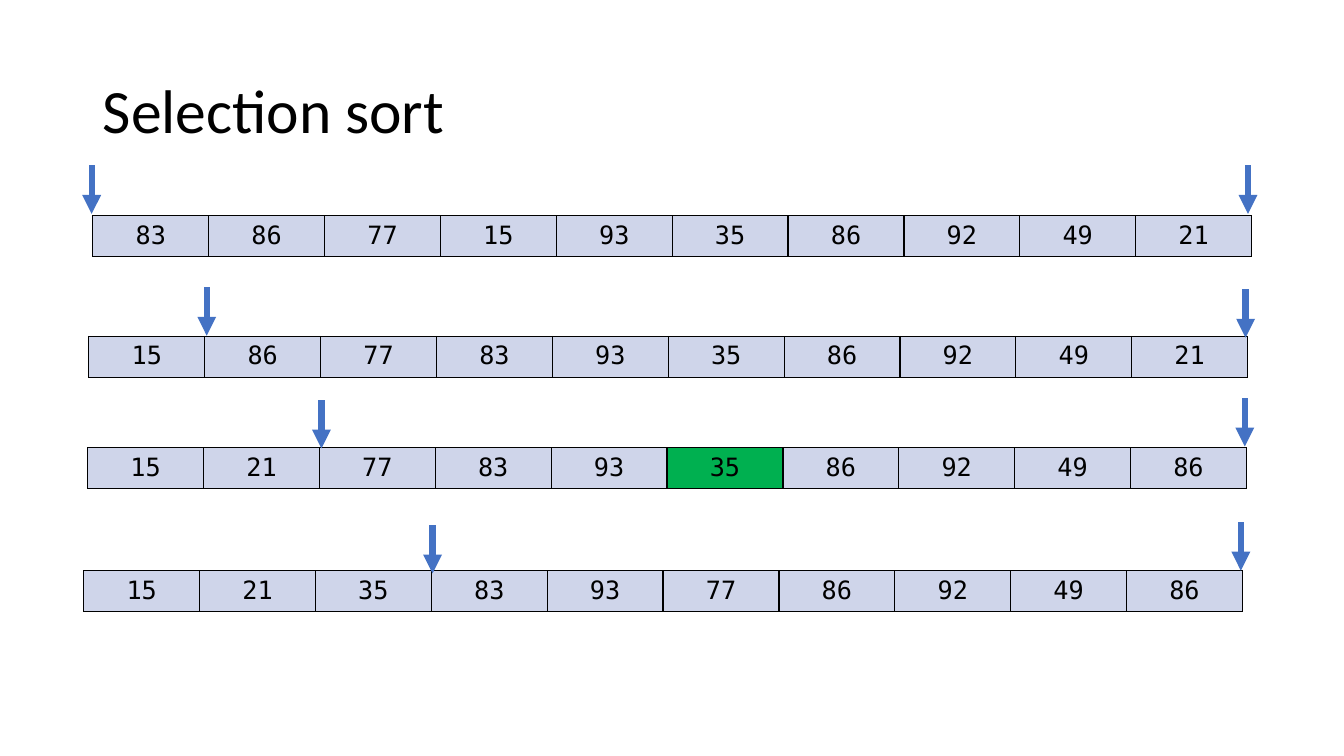
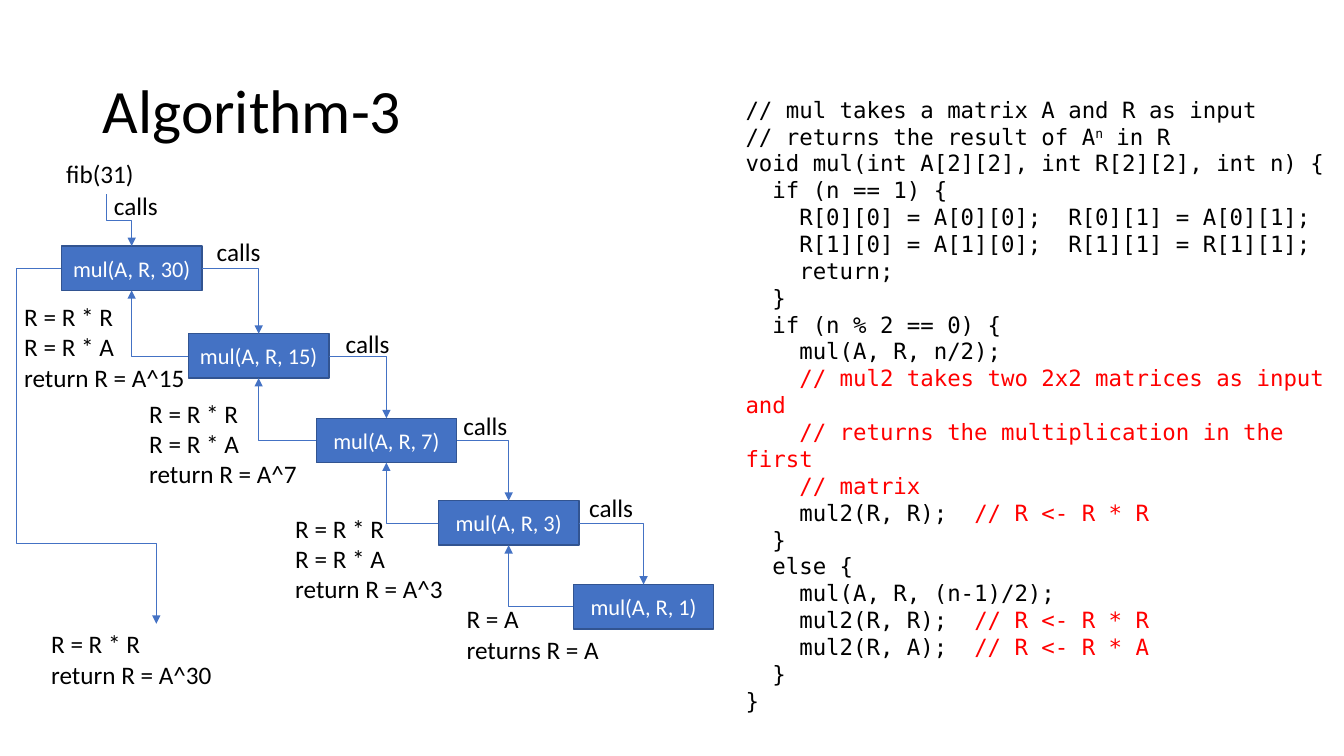
from dataclasses import dataclass
from itertools import pairwise

from lxml.etree import SubElement
from pptx import Presentation
from pptx.dml.color import RGBColor as Rgb
from pptx.enum.shapes import MSO_CONNECTOR as Connector, MSO_SHAPE as Shape
from pptx.enum.text import MSO_ANCHOR as Anchor, PP_ALIGN as Align
from pptx.oxml.ns import qn
from pptx.util import Cm, Pt


@dataclass(frozen=True)
class Theme:
    black: Rgb = Rgb.from_string("000000")
    white: Rgb = Rgb.from_string("FFFFFF")
    blue: Rgb = Rgb.from_string("4472C4")
    outline: Rgb = Rgb.from_string("325491")
    cell: Rgb = Rgb.from_string("CFD5EA")
    found: Rgb = Rgb.from_string("00B050")
    comment: Rgb = Rgb.from_string("FF0000")
    sans: str = "Calibri"
    mono: str = "DejaVu Sans Mono"
    title_size: int = 44
    body_size: int = 18
    small_size: int = 16
    marker_width: float = 4.5
    call_width: float = 0.5
    border_width: float = 1


THEME = Theme()

CELL_WIDTH, CELL_HEIGHT = 2.92, 1.03
MARKER_LENGTH = 1.22
CALL_WIDTH, CALL_HEIGHT = 3.54, 1.12
LEFT, TOP, RIGHT, BOTTOM = 1, 0, 3, 2

PASSES = [
    ((2.34, 5.44), [83, 86, 77, 15, 93, 35, 86, 92, 49, 21], None,
     [(2.31, 4.17), (31.45, 4.17)]),
    ((2.24, 8.48), [15, 86, 77, 83, 93, 35, 86, 92, 49, 21], None,
     [(5.21, 7.24), (31.39, 7.29)]),
    ((2.21, 11.28), [15, 21, 77, 83, 93, 35, 86, 92, 49, 86], 5,
     [(8.1, 10.08), (31.37, 10.03)]),
    ((2.11, 14.38), [15, 21, 35, 83, 93, 77, 86, 92, 49, 86], None,
     [(10.9, 13.23), (31.27, 13.16)]),
]

CALLS = [
    (30, 1.55, 6.2), (15, 4.75, 8.41), (7, 7.97, 10.54),
    (3, 11.05, 12.62), (1, 14.45, 14.73),
]
CALL_LABELS = [(2.62, 4.67), (5.21, 5.84), (8.46, 8.15), (11.43, 10.21), (14.6, 12.29)]
RESULTS = [
    (0.36, 7.47, ["R = R * R", "R = R * A", "return R = A^15"]),
    (3.51, 9.91, ["R = R * R", "R = R * A", "return R = A^7"]),
    (7.19, 12.8, ["R = R * R", "R = R * A", "return R = A^3"]),
    (11.51, 15.09, ["R = A", "returns R = A"]),
    (1.04, 15.72, ["R = R * R", "return R = A^30"]),
]

CODE_HEADER = [
    [("// mul takes a matrix A and R as input", THEME.black)],
    [("// returns the result of A", THEME.black), ("n", THEME.black, 30000),
     (" in R", THEME.black)],
]
CODE_BODY = """\
void mul(int A[2][2], int R[2][2], int n) {
  if (n == 1) {
    R[0][0] = A[0][0];  R[0][1] = A[0][1];
    R[1][0] = A[1][0];  R[1][1] = R[1][1];
    return;
  }
  if (n % 2 == 0) {
    mul(A, R, n/2);
    // mul2 takes two 2x2 matrices as input and
    // returns the multiplication in the first
    // matrix
    mul2(R, R);  // R <- R * R
  }
  else {
    mul(A, R, (n-1)/2);
    mul2(R, R);  // R <- R * R
    mul2(R, A);  // R <- R * A
  }
}"""


def add_run(paragraph, text, size, font, colour, raised=0):
    run = paragraph.add_run()
    run.text = text
    run.font.size = Pt(size)
    run.font.name = font
    run.font.color.rgb = colour
    if raised:
        run.font._element.set("baseline", str(raised))


def write_lines(frame, lines, size, font):
    frame.word_wrap = True
    for index, pieces in enumerate(lines):
        paragraph = frame.add_paragraph() if index else frame.paragraphs[0]
        for text, colour, *raised in pieces:
            add_run(paragraph, text, size, font, colour, *raised)


def add_text(slide, box, lines, size=THEME.body_size, font=THEME.sans):
    frame = slide.shapes.add_textbox(*map(Cm, box)).text_frame
    write_lines(frame, lines, size, font)
    return frame


def plain(*texts):
    return [[(text, THEME.black)] for text in texts]


def add_titled_slide(deck, title):
    slide = deck.slides.add_slide(deck.slide_layouts[6])
    frame = add_text(slide, (2.34, 1.02, 29.21, 3.68), plain(title), THEME.title_size)
    frame.vertical_anchor = Anchor.MIDDLE
    frame.paragraphs[0].line_spacing = 0.9
    return slide


def add_line(slide, kind, start, end, width, arrow=True):
    line = slide.shapes.add_connector(kind, *map(Cm, start + end))
    line.line.color.rgb = THEME.blue
    line.line.width = Pt(width)
    properties = line.element.spPr
    if arrow:
        SubElement(properties.find(qn("a:ln")), qn("a:tailEnd"), type="triangle")
    SubElement(properties, qn("a:effectLst"))
    return line


def add_corner(slide, start, end, arrow=True):
    corner = add_line(slide, Connector.ELBOW, start, end, THEME.call_width, arrow)
    corner.element.spPr.find(qn("a:prstGeom")).set("prst", "bentConnector2")
    return corner


def add_drop(slide, start, end):
    (x1, y1), (x2, y2) = start, end
    middle_x, middle_y = (x1 + x2) / 2, (y1 + y2) / 2
    half_run, half_fall = (x2 - x1) / 2, (y2 - y1) / 2
    drop = add_line(slide, Connector.ELBOW,
                    (middle_x + half_fall, middle_y - half_run),
                    (middle_x - half_fall, middle_y + half_run), THEME.call_width)
    drop.element.spPr.find(qn("a:xfrm")).set("rot", "16200000")


def add_border(cell):
    properties = cell._tc.get_or_add_tcPr()
    for index, side in enumerate(("a:lnL", "a:lnR", "a:lnT", "a:lnB")):
        edge = SubElement(properties, qn(side), w=str(Pt(THEME.border_width)))
        fill = SubElement(edge, qn("a:solidFill"))
        SubElement(fill, qn("a:srgbClr"), val=str(THEME.black))
        properties.insert(index, edge)


def add_array(slide, position, values, found):
    size = CELL_WIDTH * len(values), CELL_HEIGHT
    array = slide.shapes.add_table(1, len(values), *map(Cm, position + size)).table
    array.first_row = array.horz_banding = False
    for index, value in enumerate(values):
        array.columns[index].width = Cm(CELL_WIDTH)
        cell = array.cell(0, index)
        cell.fill.solid()
        cell.fill.fore_color.rgb = THEME.found if index == found else THEME.cell
        add_border(cell)
        write_lines(cell.text_frame, plain(str(value)), THEME.body_size, THEME.mono)
        cell.text_frame.paragraphs[0].alignment = Align.CENTER


def add_call(slide, n, left, top):
    call = slide.shapes.add_shape(
        Shape.RECTANGLE, *map(Cm, (left, top, CALL_WIDTH, CALL_HEIGHT)))
    call.shadow.inherit = False
    call.fill.solid()
    call.fill.fore_color.rgb = THEME.blue
    call.line.color.rgb = THEME.outline
    call.line.width = Pt(THEME.border_width)
    frame = call.text_frame
    frame.vertical_anchor = Anchor.MIDDLE
    write_lines(frame, [[(f"mul(A, R, {n})", THEME.white)]], THEME.small_size, THEME.sans)
    frame.paragraphs[0].alignment = Align.CENTER
    return call


def join(slide, source, source_side, target, target_side):
    corner = add_corner(slide, (0, 0), (1, 1))
    corner.begin_connect(source, source_side)
    corner.end_connect(target, target_side)


def code_lines():
    lines = list(CODE_HEADER)
    for line in CODE_BODY.splitlines():
        code, mark, comment = line.partition("//")
        pieces = [(code, THEME.black), (mark + comment, THEME.comment)]
        lines.append([piece for piece in pieces if piece[0]])
    return lines


def build_selection_sort(deck):
    slide = add_titled_slide(deck, "Selection sort")
    for position, values, found, markers in PASSES:
        add_array(slide, position, values, found)
        for x, y in markers:
            add_line(slide, Connector.STRAIGHT, (x, y), (x, y + MARKER_LENGTH),
                     THEME.marker_width)


def build_algorithm(deck):
    slide = add_titled_slide(deck, "Algorithm-3")
    add_text(slide, (18.54, 2.29, 15.09, 14.63), code_lines(),
             THEME.small_size, THEME.mono)

    calls = [add_call(slide, *call) for call in CALLS]
    for caller, callee in pairwise(calls):
        join(slide, caller, RIGHT, callee, TOP)
        join(slide, callee, LEFT, caller, BOTTOM)

    _, first_left, first_top = CALLS[0]
    add_text(slide, (1.42, 3.86, 2.51, 1.02), plain("fib(31)"))
    add_drop(slide, (2.69, 4.9), (first_left + CALL_WIDTH / 2, first_top))
    final_return = add_corner(
        slide, (first_left, first_top + CALL_HEIGHT / 2), (0.41, 12.07), arrow=False)
    final_return.begin_connect(calls[0], LEFT)
    add_drop(slide, (0.41, 11.66), (3.94, 15.72))

    for left, top in CALL_LABELS:
        add_text(slide, (left, top, 3.78, 1.02), plain("calls"))
    for left, top, texts in RESULTS:
        add_text(slide, (left, top, 5.79, 0.25 + 0.77 * len(texts)), plain(*texts))


def main():
    deck = Presentation()
    deck.slide_width, deck.slide_height = Cm(33.87), Cm(19.05)
    build_selection_sort(deck)
    build_algorithm(deck)
    deck.save("out.pptx")


if __name__ == "__main__":
    main()
